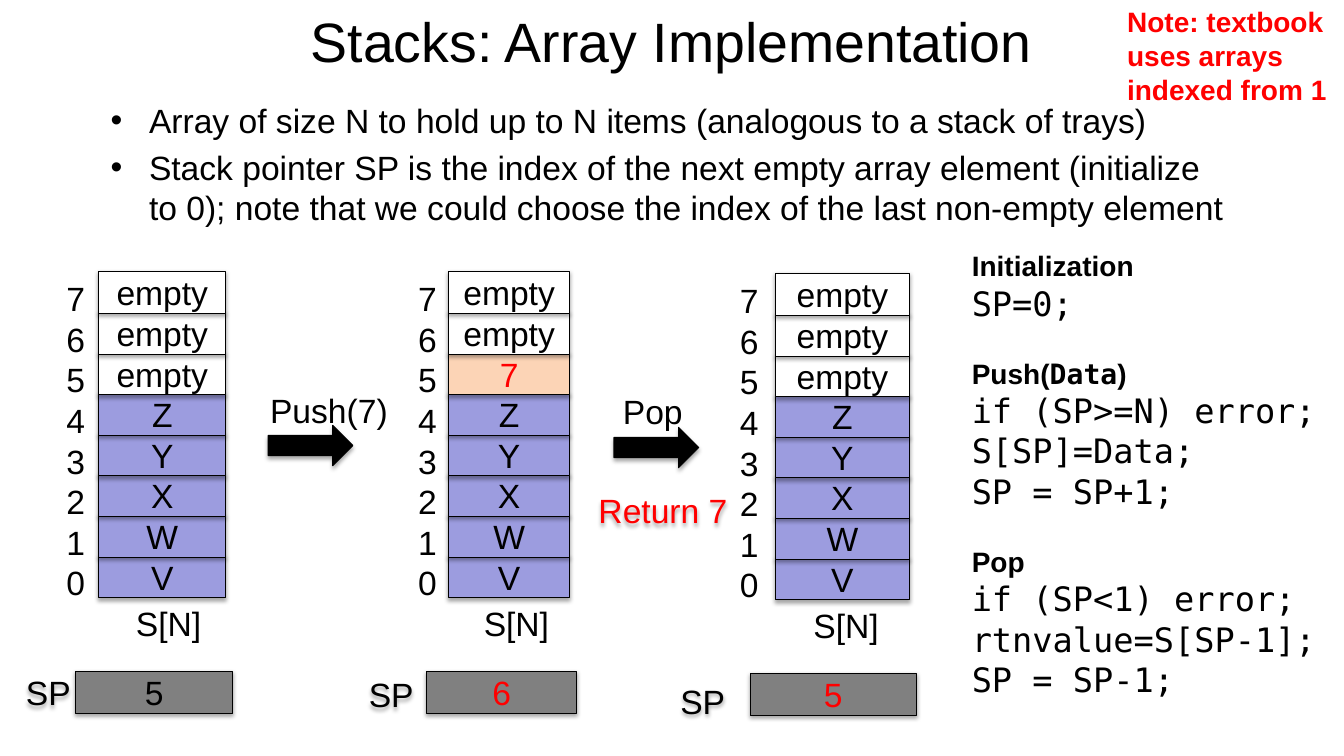
from dataclasses import dataclass

from lxml.etree import SubElement
from pptx import Presentation
from pptx.dml.color import RGBColor
from pptx.enum.shapes import MSO_SHAPE
from pptx.enum.text import MSO_ANCHOR, MSO_AUTO_SIZE, PP_ALIGN
from pptx.oxml.ns import qn
from pptx.shapes.autoshape import Shape
from pptx.slide import Slide
from pptx.util import Inches, Pt

BLACK, RED, WHITE = "000000", "FF0000", "FFFFFF"
GREY, LAVENDER, PEACH = "808080", "9C9CDF", "FCD4B6"
SANS, MONO = "Arial", "DejaVu Sans Mono"

ARRAY_TOP = 2.69
ROW_PITCH = 2.82 / 7
CELL_HEIGHT = 0.42


@dataclass(frozen=True)
class Box:
    left: float
    top: float
    width: float
    height: float


@dataclass(frozen=True)
class Run:
    text: str
    size: float = 24
    color: str = BLACK
    font: str = SANS
    bold: bool = False


@dataclass(frozen=True)
class Line:
    runs: tuple[Run, ...]
    space_before: float = 0
    bullet: bool = False


@dataclass(frozen=True)
class Stack:
    """One state of the stack; items run from index 0 upwards."""
    cells_left: float
    cells_width: float
    index_left: float
    index_width: float
    caption_left: float
    items: tuple[str, ...]
    pointer: Run
    pointer_box: Box
    pointer_label: Box
    drop: float = 0
    changed: int | None = None


@dataclass(frozen=True)
class Operation:
    name: str
    label: Box
    arrow: Box


STORED = ("V", "W", "X", "Y", "Z")
EMPTY = "empty"
STACKS = (
    Stack(0.98, 1.26, 0.56, 0.46, 1.25, STORED + (EMPTY,) * 3, Run("5"),
          Box(0.75, 6.66, 1.56, 0.42), Box(0.08, 6.66, 0.8, 0.42)),
    Stack(4.45, 1.2, 4.05, 0.44, 4.7, STORED + ("7",) + (EMPTY,) * 2, Run("6", color=RED),
          Box(4.23, 6.66, 1.49, 0.42), Box(3.51, 6.68, 0.74, 0.42), changed=5),
    Stack(7.69, 1.33, 7.24, 0.48, 7.97, STORED + (EMPTY,) * 3, Run("5", color=RED),
          Box(7.44, 6.68, 1.65, 0.42), Box(6.5, 6.74, 0.94, 0.42), drop=0.02),
)
OPERATIONS = (
    Operation("Push(7)", Box(2.58, 3.82, 1.38, 0.5), Box(2.66, 4.22, 0.84, 0.4)),
    Operation("Pop", Box(6.08, 3.83, 0.8, 0.5), Box(6.09, 4.24, 0.84, 0.4)),
)
BULLETS = (
    "Array of size N to hold up to N items (analogous to a stack of trays)",
    "Stack pointer SP is the index of the next empty array element (initialize to 0); "
    "note that we could choose the index of the last non-empty element",
)


def rgb(value: str) -> RGBColor:
    return RGBColor.from_string(value)


def heading(*parts: Run, space_before: float = 24) -> Line:
    return Line(parts, space_before)


def bold(text: str, font: str = SANS, color: str = BLACK) -> Run:
    return Run(text, 20, color, font, True)


def code(text: str) -> Line:
    return Line((Run(text, font=MONO),))


PSEUDOCODE = (
    heading(bold("Initialization"), space_before=0),
    code("SP=0;"),
    heading(bold("Push("), bold("Data", MONO), bold(")")),
    code("if (SP>=N) error;"),
    code("S[SP]=Data;"),
    code("SP = SP+1;"),
    heading(bold("Pop")),
    code("if (SP<1) error;"),
    code("rtnvalue=S[SP-1];"),
    code("SP = SP-1;"),
)


def inches(box: Box) -> tuple[Inches, ...]:
    return tuple(Inches(n) for n in (box.left, box.top, box.width, box.height))


def write(shape: Shape, lines: tuple[Line, ...], centered: bool = False) -> None:
    frame = shape.text_frame
    frame.vertical_anchor = MSO_ANCHOR.MIDDLE if centered else MSO_ANCHOR.TOP
    for number, line in enumerate(lines):
        paragraph = frame.add_paragraph() if number else frame.paragraphs[0]
        paragraph.alignment = PP_ALIGN.CENTER if centered else PP_ALIGN.LEFT
        if line.space_before:
            paragraph.space_before = Pt(line.space_before)
        if line.bullet:
            properties = paragraph._p.get_or_add_pPr()
            properties.set("marL", str(Inches(0.38)))
            properties.set("indent", str(-Inches(0.38)))
            SubElement(properties, qn("a:buFont"), typeface=SANS)
            SubElement(properties, qn("a:buChar"), char="•")
        for part in line.runs:
            run = paragraph.add_run()
            run.text = part.text
            run.font.size = Pt(part.size)
            run.font.name = part.font
            run.font.bold = part.bold
            run.font.color.rgb = rgb(part.color)


def add_shadow(shape: Shape) -> None:
    shape.shadow.inherit = False
    effects = shape._element.spPr.find(qn("a:effectLst"))
    shadow = SubElement(effects, qn("a:outerShdw"), blurRad=str(Pt(3.1)), dist=str(Pt(1.8)),
                        dir="5400000", rotWithShape="0")
    tone = SubElement(shadow, qn("a:srgbClr"), val=BLACK)
    SubElement(tone, qn("a:alpha"), val="35000")


def add_text(slide: Slide, box: Box, *lines: Line, centered: bool = False,
             wrap: bool = True) -> Shape:
    shape = slide.shapes.add_textbox(*inches(box))
    shape.text_frame.word_wrap = wrap
    if not wrap:
        shape.text_frame.auto_size = MSO_AUTO_SIZE.SHAPE_TO_FIT_TEXT
    write(shape, lines, centered)
    return shape


def add_label(slide: Slide, box: Box, text: str) -> None:
    add_text(slide, box, Line((Run(text),)), wrap=False)


def add_shadowed_label(slide: Slide, box: Box, run: Run) -> None:
    add_shadow(add_text(slide, box, Line((run,)), centered=True))


def add_block(slide: Slide, box: Box, fill: str, run: Run | None = None,
              preset: MSO_SHAPE = MSO_SHAPE.RECTANGLE) -> None:
    shape = slide.shapes.add_shape(preset, *inches(box))
    shape.fill.solid()
    shape.fill.fore_color.rgb = rgb(fill)
    shape.line.color.rgb = rgb(BLACK)
    shape.line.width = Pt(0.75)
    add_shadow(shape)
    if run:
        write(shape, (Line((run,)),), centered=True)


def draw_stack(slide: Slide, stack: Stack) -> None:
    add_block(slide, stack.pointer_box, GREY, stack.pointer)
    for index, item in enumerate(stack.items):
        top = ARRAY_TOP + stack.drop + (len(stack.items) - 1 - index) * ROW_PITCH
        is_changed = index == stack.changed
        fill = PEACH if is_changed else WHITE if item == EMPTY else LAVENDER
        add_block(slide, Box(stack.cells_left, top, stack.cells_width, CELL_HEIGHT), fill,
                  Run(item, color=RED if is_changed else BLACK))
        add_label(slide, Box(stack.index_left, top + 0.02, stack.index_width, 0.5), str(index))
    add_label(slide, Box(stack.caption_left, 5.93 + stack.drop, 1, 0.5), "S[N]")
    add_shadowed_label(slide, stack.pointer_label, Run("SP"))


def main() -> None:
    deck = Presentation()
    deck.slide_width, deck.slide_height = Inches(13.33), Inches(7.5)
    slide = deck.slides.add_slide(deck.slide_layouts[6])
    add_text(slide, Box(2.16, 0, 9, 0.8),
             Line((Run("Stacks: Array Implementation", 39.6),)), centered=True)
    add_text(slide, Box(1, 0.94, 11.33, 1.14),
             *(Line((Run(text),), 4.8 if number else 0, bullet=True)
               for number, text in enumerate(BULLETS)))
    for stack in STACKS:
        draw_stack(slide, stack)
    for operation in OPERATIONS:
        add_label(slide, operation.label, operation.name)
        add_block(slide, operation.arrow, BLACK, preset=MSO_SHAPE.RIGHT_ARROW)
    add_shadowed_label(slide, Box(5.73, 4.85, 1.69, 0.42), Run("Return 7", color=RED))
    add_text(slide, Box(9.54, 2.42, 3.63, 4.61), *PSEUDOCODE, wrap=False)
    add_text(slide, Box(11.08, 0, 2.25, 1.11),
             Line((bold("Note: textbook uses arrays indexed from 1", color=RED),)))
    deck.save("out.pptx")


if __name__ == "__main__":
    main()
